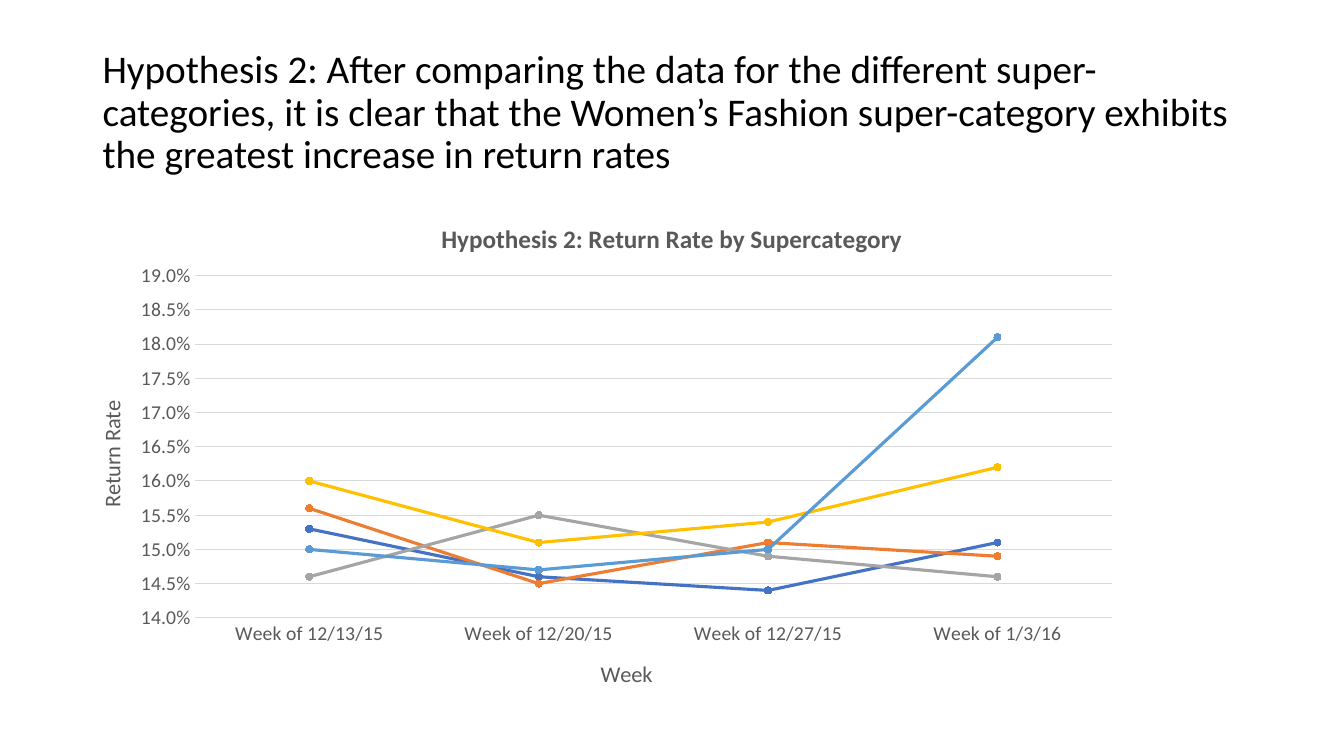
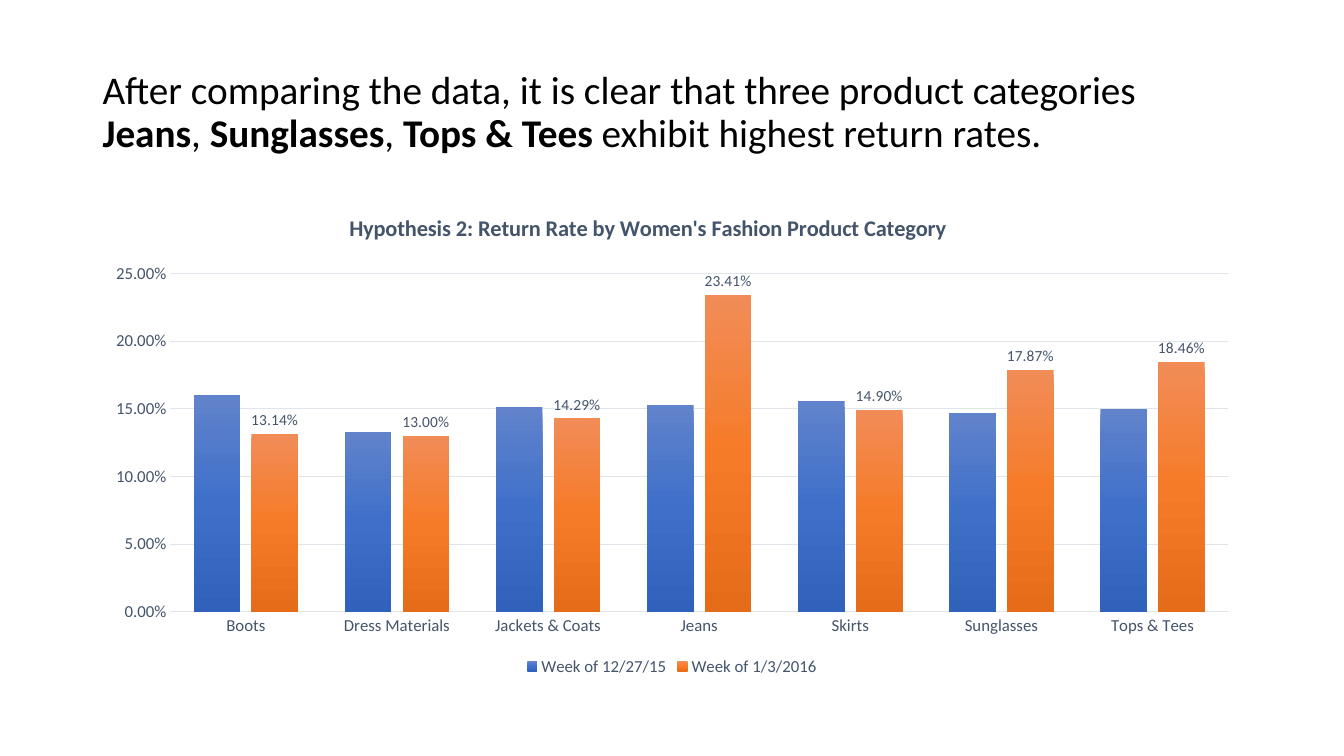
"""Build two slides that compare return rates by category."""
from pptx import Presentation
from pptx import util as u
from pptx.chart.data import CategoryChartData
from pptx.dml.color import RGBColor
from pptx.enum import chart as kinds
from pptx.enum import text
from pptx.oxml import ns, parse_xml

WIDTH, HEIGHT = u.Inches(13.33), u.Inches(7.5)
COLUMN, ROW = WIDTH / 29, HEIGHT / 150
LEFT, SPAN = 2, 25
TITLE_ROWS = (8, 29)
FONT = "Calibri"

BLACK = RGBColor(0x00, 0x00, 0x00)
GRAY = RGBColor(0x59, 0x59, 0x59)
PALE_GRAY = RGBColor(0xD9, 0xD9, 0xD9)
SLATE = RGBColor(0x44, 0x54, 0x6A)
PALE_SLATE = RGBColor(0xE0, 0xE5, 0xEB)
BLUE = RGBColor(0x44, 0x72, 0xC4)
ORANGE = RGBColor(0xED, 0x7D, 0x31)
SILVER = RGBColor(0xA5, 0xA5, 0xA5)
GOLD = RGBColor(0xFF, 0xC0, 0x00)
SKY = RGBColor(0x5B, 0x9B, 0xD5)
BLUE_FADE = (RGBColor(0x61, 0x83, 0xCB), RGBColor(0x3E, 0x70, 0xCA),
             RGBColor(0x30, 0x62, 0xBB))
ORANGE_FADE = (RGBColor(0xF1, 0x8C, 0x57), RGBColor(0xF6, 0x7B, 0x28),
               RGBColor(0xE5, 0x6C, 0x19))

WEEKS = ["Week of 12/13/15", "Week of 12/20/15", "Week of 12/27/15",
         "Week of 1/3/16"]
WEEKLY_RATES = [
    ((0.153, 0.146, 0.144, 0.151), BLUE),
    ((0.156, 0.145, 0.151, 0.149), ORANGE),
    ((0.146, 0.155, 0.149, 0.146), SILVER),
    ((0.16, 0.151, 0.154, 0.162), GOLD),
    ((0.15, 0.147, 0.15, 0.181), SKY),
]
PRODUCTS = ["Boots", "Dress Materials", "Jackets & Coats", "Jeans", "Skirts",
            "Sunglasses", "Tops & Tees"]
LEGEND = ["Week of 12/27/15", "Week of 1/3/2016"]
PRODUCT_RATES = [
    ((0.16, 0.133, 0.151, 0.153, 0.156, 0.147, 0.15), BLUE_FADE),
    ((0.1314, 0.13, 0.1429, 0.2341, 0.149, 0.1787, 0.1846), ORANGE_FADE),
]


def grid_box(top, rows):
    """Return the frame of a full-width band of the grid."""
    return [round(n) for n in
            (LEFT * COLUMN, top * ROW, SPAN * COLUMN, rows * ROW)]


def style_font(font, size, color, bold=False):
    """Set the face, size, colour and weight of a font."""
    font.name, font.size, font.bold = FONT, u.Pt(size), bold
    font.color.rgb = color


def add_text(para, words, **style):
    """Add one formatted span to a paragraph."""
    span = para.add_run()
    span.text = words
    style_font(span.font, **style)


def add_title(page, spans):
    """Add a slide title from pairs of words and weight."""
    frame = page.shapes.add_textbox(*grid_box(*TITLE_ROWS)).text_frame
    frame.word_wrap = True
    frame.vertical_anchor = text.MSO_ANCHOR.MIDDLE
    para = frame.paragraphs[0]
    para.line_spacing = 0.9
    for words, bold in spans:
        add_text(para, words, size=28, color=BLACK, bold=bold)


def place(parent, position, **sizes):
    """Give a chart part a manual layout in percent of the chart."""
    old = parent.find(ns.qn("c:layout"))
    if old is not None:
        parent.remove(old)
    values = dict(zip("xy", position), **sizes)
    target = '<c:layoutTarget val="inner"/>' if sizes else ""
    modes = "".join(f'<c:{key}Mode val="edge"/>' for key in "xy")
    shares = "".join(f'<c:{key} val="{n / 100:.4f}"/>'
                     for key, n in values.items())
    layout = parse_xml(f'<c:layout {ns.nsdecls("c")}><c:manualLayout>{target}'
                       f'{modes}{shares}</c:manualLayout></c:layout>')
    words = parent.find(ns.qn("c:tx"))
    parent.insert(0 if words is None else parent.index(words) + 1, layout)


def label_part(title, words, position, turned=False, **style):
    """Write and place the title of a chart or an axis."""
    add_text(title.text_frame.paragraphs[0], words, **style)
    if turned:
        body = title._element.find(".//" + ns.qn("a:bodyPr"))
        body.set("rot", "-5400000")
        body.set("vert", "horz")
    place(title._element, position)


def style_axis(axis, size, color):
    """Remove the ticks of an axis and format its labels."""
    axis.major_tick_mark = axis.minor_tick_mark = kinds.XL_TICK_MARK.NONE
    style_font(axis.tick_labels.font, size, color)


def style_line(line, color, width):
    """Set the colour and the width of a line."""
    line.color.rgb, line.width = color, u.Pt(width)


def add_chart(page, kind, rows, categories, names, series, *, plot, limits,
              form, size, color, rule):
    """Add a chart with formatted axes and a placed plot area."""
    data = CategoryChartData(number_format=form)
    data.categories = categories
    for name, (values, _) in zip(names, series):
        data.add_series(name, values)
    chart = page.shapes.add_chart(kind, *grid_box(*rows), data).chart
    style_font(chart.font, size, color)
    chart.has_legend = False
    chart.plots[0].vary_by_categories = False
    values = chart.value_axis
    for axis in (chart.category_axis, values):
        style_axis(axis, size, color)
    style_line(chart.category_axis.format.line, rule, 0.75)
    style_line(values.major_gridlines.format.line, rule, 0.75)
    values.format.line.fill.background()
    values.minimum_scale, values.maximum_scale, values.major_unit = limits
    values.tick_labels.number_format = form
    values.tick_labels.number_format_is_linked = False
    left, top, width, height = plot
    area = chart._chartSpace.find(".//" + ns.qn("c:plotArea"))
    place(area, (left, top), w=width, h=height)
    return chart


def color_line(line, color):
    """Format one line series and its round markers."""
    line.smooth = False
    style_line(line.format.line, color, 2.25)
    line.marker.style, line.marker.size = kinds.XL_MARKER_STYLE.CIRCLE, 5
    line.marker.format.fill.solid()
    line.marker.format.fill.fore_color.rgb = color
    style_line(line.marker.format.line, color, 0.75)


def fade_bars(bars, colors):
    """Fill one bar series with a vertical gradient of three colours."""
    stops = "".join(
        f'<a:gs pos="{n * 50000}"><a:srgbClr val="{color}"/></a:gs>'
        for n, color in enumerate(colors))
    bars._element.get_or_add_spPr().append(parse_xml(
        f'<a:gradFill {ns.nsdecls("a")} rotWithShape="1"><a:gsLst>{stops}'
        '</a:gsLst><a:lin ang="5400000" scaled="0"/></a:gradFill>'))


def label_bars(bars):
    """Show the values above one bar series."""
    labels = bars.data_labels
    labels.show_value = True
    labels.number_format, labels.number_format_is_linked = "0.00%", False
    labels.position = kinds.XL_LABEL_POSITION.OUTSIDE_END
    style_font(labels.font, 11, SLATE)


def build_supercategories(page):
    """Show the weekly return rate of each super-category."""
    add_title(page, [(
        "Hypothesis 2: After comparing the data for the different "
        "super-categories, it is clear that the Women’s Fashion "
        "super-category exhibits the greatest increase in return rates",
        False)])
    chart = add_chart(
        page, kinds.XL_CHART_TYPE.LINE_MARKERS, (40, 103), WEEKS,
        [""] * len(WEEKLY_RATES), WEEKLY_RATES,
        plot=(8.8, 14.3, 79.2, 65.9), limits=(0.14, 0.19, 0.005),
        form="0.0%", size=14, color=GRAY, rule=PALE_GRAY)
    label_part(chart.chart_title, "Hypothesis 2: Return Rate by Supercategory",
               (29.7, 2.9), size=18, color=GRAY, bold=True)
    label_part(chart.category_axis.axis_title, "Week", (43.5, 87.3),
               size=16, color=GRAY)
    label_part(chart.value_axis.axis_title, "Return Rate", (0, 37.6),
               turned=True, size=16, color=GRAY)
    for line, (_, color) in zip(chart.plots[0].series, WEEKLY_RATES):
        color_line(line, color)


def build_products(page):
    """Compare two weeks of return rates by product category."""
    add_title(page, [
        ("After comparing the data, it is clear that three product "
         "categories ", False),
        ("Jeans", True), (", ", False), ("Sunglasses", True), (", ", False),
        ("Tops & Tees ", True), ("exhibit highest return rates.", False)])
    chart = add_chart(
        page, kinds.XL_CHART_TYPE.COLUMN_CLUSTERED, (40, 95), PRODUCTS,
        LEGEND, PRODUCT_RATES, plot=(6.7, 15, 91.3, 70.7),
        limits=(0, 0.25, 0.05), form="0.00%", size=12, color=SLATE,
        rule=PALE_SLATE)
    label_part(chart.chart_title, "Hypothesis 2: Return Rate by Women's "
               "Fashion Product Category", (21.8, 1.6), size=16,
               color=SLATE, bold=True)
    chart.has_legend = True
    chart.legend.position = kinds.XL_LEGEND_POSITION.BOTTOM
    chart.legend.include_in_layout = False
    style_font(chart.legend.font, 12, SLATE)
    columns = chart.plots[0]
    columns.gap_width, columns.overlap = 100, -24
    for bars, (_, colors) in zip(columns.series, PRODUCT_RATES):
        fade_bars(bars, colors)
    label_bars(columns.series[1])


def main():
    """Build and save the deck."""
    deck = Presentation()
    deck.slide_width, deck.slide_height = WIDTH, HEIGHT
    for build in (build_supercategories, build_products):
        build(deck.slides.add_slide(deck.slide_layouts[6]))
    deck.save("out.pptx")


main()
